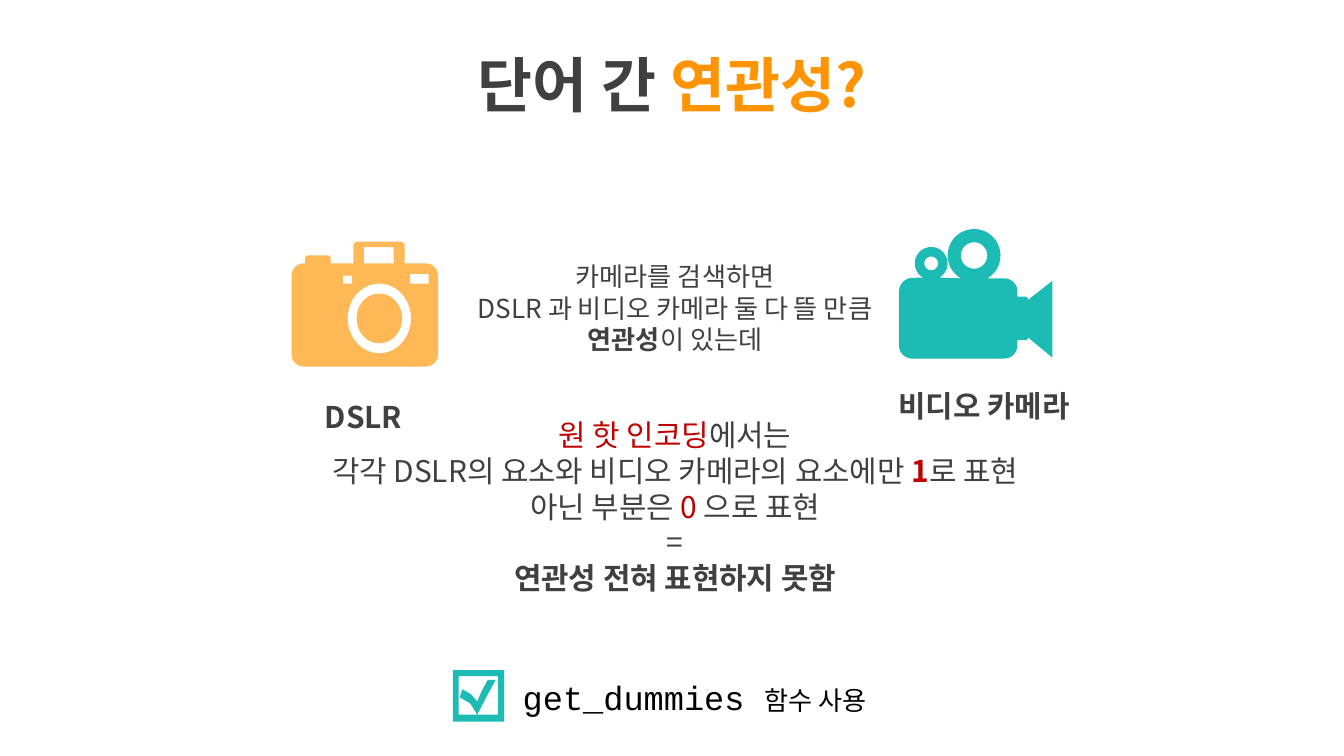
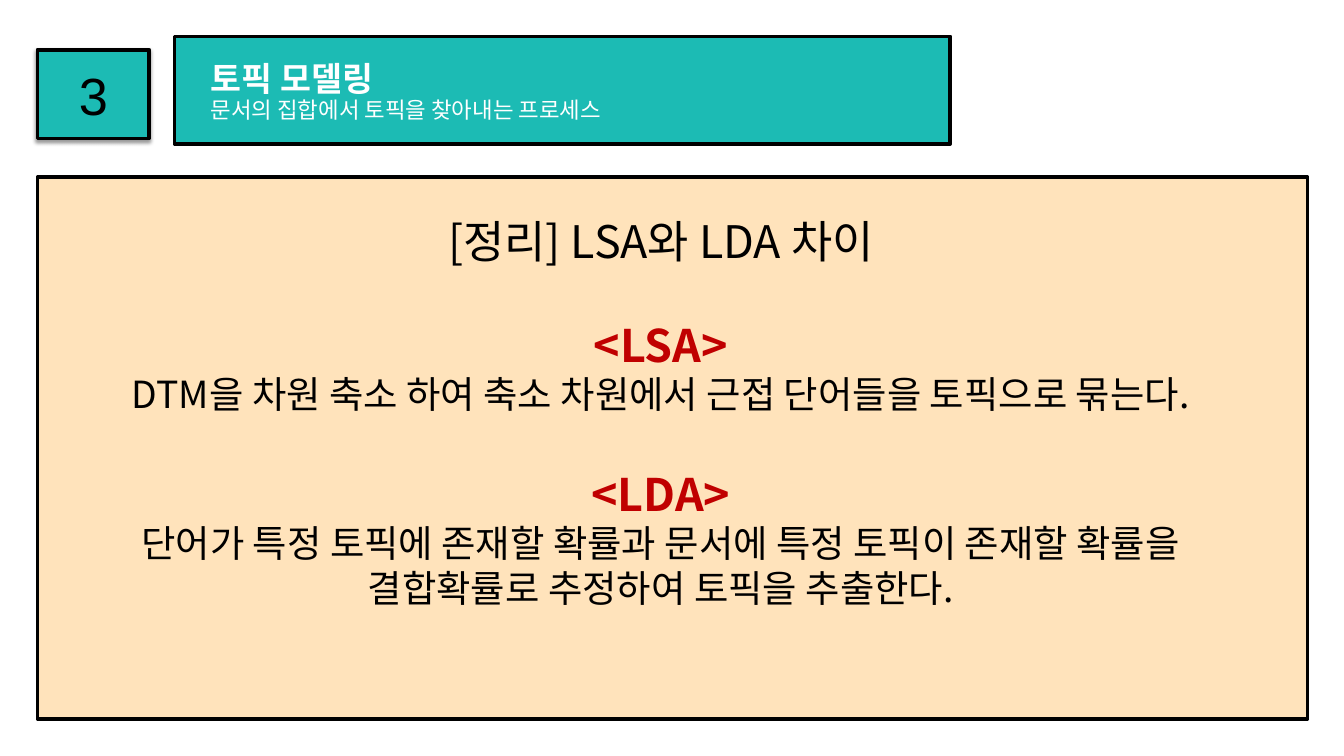
"""Build two slides on word association and topic modelling."""
import math
from typing import NamedTuple, Optional

from lxml import etree
from pptx import Presentation
from pptx import util as u
from pptx.dml.color import RGBColor
from pptx.enum import shapes, text
from pptx.oxml.ns import qn

TEAL = RGBColor(0x1C, 0xBB, 0xB4)
AMBER = RGBColor(0xFE, 0xB8, 0x56)
ORANGE = RGBColor(0xFE, 0x94, 0x01)
CREAM = RGBColor(0xFF, 0xE3, 0xBB)
RED = RGBColor(0xC0, 0x00, 0x00)
GRAY = RGBColor(0x40, 0x40, 0x40)
BLACK = RGBColor(0, 0, 0)
WHITE = RGBColor(0xFF, 0xFF, 0xFF)

KOREAN = "Noto Sans CJK KR"
CENTER = text.PP_ALIGN.CENTER
LEFT = text.PP_ALIGN.LEFT
MIDDLE = text.MSO_ANCHOR.MIDDLE
TOP = text.MSO_ANCHOR.TOP

Point = tuple[float, float]
Contour = list[Point]


class Area(NamedTuple):
    left: float
    top: float
    width: float
    height: float

    def lengths(self) -> list[u.Length]:
        return [u.Cm(value) for value in self]


class Run(NamedTuple):
    words: str
    size: float
    color: RGBColor = GRAY
    bold: bool = False
    font: str = KOREAN


class Line(NamedTuple):
    runs: list[Run]
    space_before: float = 0


class Label(NamedTuple):
    area: Area
    lines: list[Line]
    align: text.PP_ALIGN = CENTER


class Panel(NamedTuple):
    area: Area
    fill: RGBColor
    number: Optional[Run] = None


class Corner(NamedTuple):
    x: float
    y: float
    radius: float = 0


class Icon(NamedTuple):
    color: RGBColor
    contours: list[Contour]


def write_lines(frame, lines: list[Line], align: text.PP_ALIGN,
                anchor: text.MSO_ANCHOR = TOP, wrap: bool = True) -> None:
    frame.word_wrap = wrap
    frame.auto_size = text.MSO_AUTO_SIZE.NONE
    frame.vertical_anchor = anchor
    for index, line in enumerate(lines):
        paragraph = frame.add_paragraph() if index else frame.paragraphs[0]
        paragraph.alignment = align
        if line.space_before:
            paragraph.space_before = u.Pt(line.space_before)
        for part in line.runs:
            run = paragraph.add_run()
            run.text = part.words
            run.font.size = u.Pt(part.size)
            run.font.bold = part.bold
            run.font.color.rgb = part.color
            run.font.name = part.font
            properties = run._r.get_or_add_rPr()
            etree.SubElement(properties, qn("a:ea"), typeface=KOREAN)


def place_title(slide, label: Label, anchor: text.MSO_ANCHOR):
    title = slide.shapes.title
    title.left, title.top, title.width, title.height = label.area.lengths()
    write_lines(title.text_frame, label.lines, label.align, anchor)
    return title


def add_label(slide, label: Label) -> None:
    box = slide.shapes.add_textbox(*label.area.lengths())
    write_lines(box.text_frame, label.lines, label.align)


def add_panel(slide, panel: Panel):
    shape = slide.shapes.add_shape(shapes.MSO_SHAPE.RECTANGLE, *panel.area.lengths())
    shape.shadow.inherit = False
    shape.fill.solid()
    shape.fill.fore_color.rgb = panel.fill
    shape.line.color.rgb = BLACK
    shape.line.width = u.Pt(2)
    if panel.number:
        write_lines(shape.text_frame, [Line([panel.number])], CENTER, MIDDLE, wrap=False)
    return shape


def add_soft_shadow(shape) -> None:
    effects = shape.element.spPr.find(qn("a:effectLst"))
    shadow = etree.SubElement(effects, qn("a:outerShdw"), blurRad=str(u.Pt(2)),
                              dist=str(u.Pt(1.5)), dir="5400000", rotWithShape="0")
    color = etree.SubElement(shadow, qn("a:srgbClr"), val=str(BLACK))
    etree.SubElement(color, qn("a:alpha"), val="40000")


def add_icon(slide, icon: Icon) -> None:
    builder = None
    for contour in icon.contours:
        points = [(u.Cm(x), u.Cm(y)) for x, y in contour]
        if builder is None:
            builder = slide.shapes.build_freeform(*points[0])
        else:
            builder.move_to(*points[0])
        builder.add_line_segments(points[1:], close=True)
    shape = builder.convert_to_shape()
    shape.shadow.inherit = False
    shape.fill.solid()
    shape.fill.fore_color.rgb = icon.color
    shape.line.fill.background()


def arc(x: float, y: float, radius_x: float, radius_y: float,
        start: int = 0, end: int = 360) -> Contour:
    angles = [math.radians(angle) for angle in range(start, end + 1, 10)]
    return [(x + radius_x * math.cos(a), y + radius_y * math.sin(a)) for a in angles]


def rectangle(left: float, top: float, right: float, bottom: float) -> Contour:
    return [(left, top), (right, top), (right, bottom), (left, bottom)]


def toward(start: Corner, end: Corner) -> Point:
    distance = math.hypot(end.x - start.x, end.y - start.y)
    return (end.x - start.x) / distance, (end.y - start.y) / distance


def rounded(corners: list[Corner]) -> Contour:
    points = []
    for index, corner in enumerate(corners):
        if not corner.radius:
            points.append((corner.x, corner.y))
            continue
        back = toward(corner, corners[index - 1])
        ahead = toward(corner, corners[(index + 1) % len(corners)])
        for degrees in range(0, 91, 15):
            angle = math.radians(degrees)
            near = corner.radius * (1 - math.sin(angle))
            far = corner.radius * (1 - math.cos(angle))
            points.append((corner.x + back[0] * near + ahead[0] * far,
                           corner.y + back[1] * near + ahead[1] * far))
    return points


def reel(x: float, y: float, radius: float) -> list[Corner]:
    return [Corner(*point) for point in arc(x, y, radius, radius, 120, 420)]


PHOTO_CAMERA = Icon(AMBER, [
    rounded([
        Corner(5.51, 4.98, 0.23), Corner(5.77, 4.98), Corner(5.77, 4.83, 0.05),
        Corner(6.25, 4.83, 0.05), Corner(6.25, 4.98), Corner(6.68, 4.98),
        Corner(6.68, 4.57, 0.08), Corner(7.65, 4.57, 0.08), Corner(7.65, 4.98),
        Corner(8.28, 4.98, 0.23), Corner(8.28, 6.93, 0.23), Corner(5.51, 6.93, 0.23),
    ]),
    arc(7.17, 6.02, 0.6, 0.66),
    arc(7.17, 6.02, 0.43, 0.47),
    rectangle(6.48, 5.21, 6.65, 5.36),
    rectangle(7.75, 5.18, 8.1, 5.36),
    rectangle(6.88, 4.67, 7.44, 4.98),
])
VIDEO_CAMERA = Icon(TEAL, [
    rounded([
        Corner(16.99, 5.26, 0.25), *reel(17.6, 4.98, 0.31), *reel(18.41, 4.83, 0.5),
        Corner(19.23, 5.26, 0.25), Corner(19.23, 5.61), Corner(19.43, 5.61, 0.05),
        Corner(19.43, 5.67), Corner(19.89, 5.31), Corner(19.89, 6.76),
        Corner(19.43, 6.38), Corner(19.43, 6.43, 0.05), Corner(19.23, 6.43),
        Corner(19.23, 6.78, 0.25), Corner(16.99, 6.78, 0.25),
    ]),
    arc(17.6, 4.98, 0.13, 0.13),
    arc(18.41, 4.83, 0.25, 0.25),
])
CHECK_BOX = Icon(TEAL, [
    rectangle(8.56, 12.67, 9.53, 13.64),
    rectangle(8.67, 12.78, 9.41, 13.51),
    [(9.02, 13.51), (8.89, 13.3), (8.69, 13.18), (8.74, 13.03), (8.9, 13.12),
     (9.02, 13.26), (9.11, 13.05), (9.22, 12.85), (9.37, 12.85), (9.19, 13.18)],
])

ASSOCIATION_TITLE = Label(Area(0, 0.51, 25.4, 2.16), [
    Line([Run("단어 간 ", 32, bold=True), Run("연관성?", 32, ORANGE, True)])])
ASSOCIATION_LABELS = [
    Label(Area(4.42, 7.42, 4.9, 1.04), [Line([Run("DSLR", 16, bold=True)])]),
    Label(Area(8.76, 4.8, 8, 2.64), [
        Line([Run("카메라를 검색하면", 14)]),
        Line([Run("DSLR 과 비디오 카메라 둘 다 뜰 만큼", 14)]),
        Line([Run("연관성", 14, bold=True), Run("이 있는데", 14)]),
    ]),
    Label(Area(16.15, 7.21, 4.9, 1.04), [Line([Run("비디오 카메라", 16, bold=True)])]),
    Label(Area(3.86, 7.75, 17.8, 4.6), [
        Line([Run("원 핫 인코딩", 16, RED), Run("에서는", 16)]),
        Line([Run("각각 DSLR의 요소와 비디오 카메라의 요소에만 ", 16),
              Run("1", 16, RED, True), Run("로 표현", 16)]),
        Line([Run("아닌 부분은 ", 16), Run("0 ", 16, RED), Run("으로 표현", 16)]),
        Line([Run("=", 16)]),
        Line([Run("연관성 전혀 표현하지 못함", 16, bold=True)]),
    ]),
    Label(Area(9.63, 12.67, 7.11, 1.02), [
        Line([Run("get_dummies ", 18, BLACK, font="Courier New"),
              Run("함수 사용", 14, BLACK)]),
    ], LEFT),
]

NUMBER_PANEL = Panel(Area(0.71, 0.94, 2.11, 1.68), TEAL, Run("3", 28, BLACK, font="Arial"))
BANNER = Panel(Area(3.3, 0.69, 14.66, 2.03), TEAL)
SUMMARY_PANEL = Panel(Area(0.71, 3.35, 24, 10.24), CREAM)
TOPIC_TITLE = Label(Area(3.73, 0.97, 13.21, 1.02),
                    [Line([Run("토픽 모델링", 18, WHITE, True)])], LEFT)
TOPIC_LABELS = [
    Label(Area(3.73, 1.7, 13.21, 0.76),
          [Line([Run("문서의 집합에서 토픽을 찾아내는 프로세스", 12, WHITE)])], LEFT),
    Label(Area(1.68, 3.91, 21.62, 7.95), [
        Line([Run("[정리] LSA와 LDA 차이", 24, BLACK)]),
        Line([Run("<LSA>", 24, RED, True)], 27),
        Line([Run("DTM을 차원 축소 하여 축소 차원에서 근접 단어들을 토픽으로 묶는다.", 20, BLACK)]),
        Line([Run("<LDA>", 24, RED, True)], 27),
        Line([Run("단어가 특정 토픽에 존재할 확률과 문서에 특정 토픽이 존재할 확률을", 20, BLACK)]),
        Line([Run("결합확률로 추정하여 토픽을 추출한다.", 20, BLACK)]),
    ]),
]


def build_association_slide(slide) -> None:
    place_title(slide, ASSOCIATION_TITLE, MIDDLE)
    for icon in (PHOTO_CAMERA, VIDEO_CAMERA, CHECK_BOX):
        add_icon(slide, icon)
    for label in ASSOCIATION_LABELS:
        add_label(slide, label)


def build_topic_slide(slide) -> None:
    add_soft_shadow(add_panel(slide, NUMBER_PANEL))
    banner = add_panel(slide, BANNER)
    title = place_title(slide, TOPIC_TITLE, TOP)
    banner.element.addnext(title.element)
    add_panel(slide, SUMMARY_PANEL)
    for label in TOPIC_LABELS:
        add_label(slide, label)


def main() -> None:
    presentation = Presentation()
    presentation.slide_width = u.Cm(25.4)
    presentation.slide_height = u.Cm(14.29)
    title_only = presentation.slide_layouts[5]
    for build in (build_association_slide, build_topic_slide):
        build(presentation.slides.add_slide(title_only))
    presentation.save("out.pptx")


if __name__ == "__main__":
    main()
